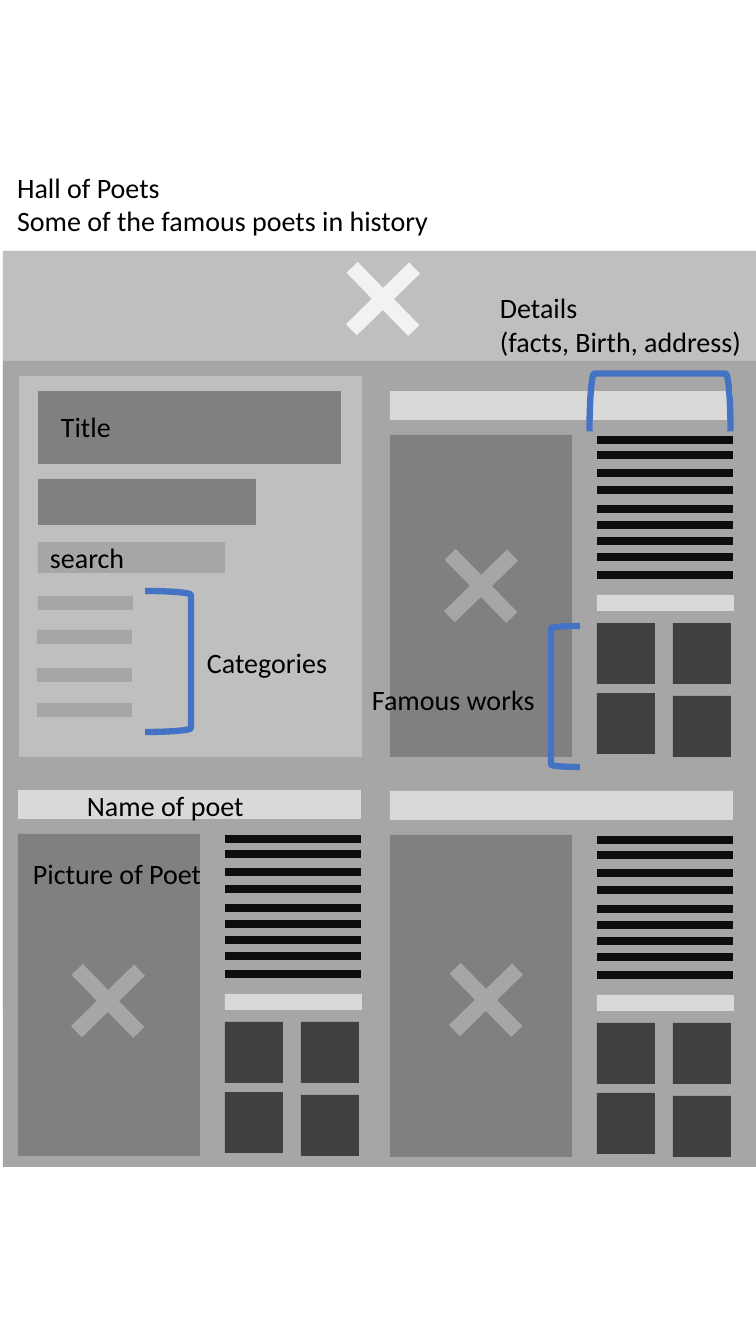
from dataclasses import dataclass

from lxml import etree
from pptx import Presentation
from pptx.dml.color import RGBColor
from pptx.enum import shapes, text
from pptx.oxml import ns
from pptx.util import Pt

HEADING = (7, 165, 435, 78, ["Hall of Poets", "Some of the famous poets in history"])
PANELS = [
    (3, 251, 759, 759, "light"),
    (3, 361, 759, 806, "mid"),
    (19, 376, 343, 381, "light"),
    (38, 391, 303, 73, "dark"),
    (38, 479, 218, 46, "dark"),
    (38, 542, 187, 31, "mid"),
]
CATEGORY_BARS = [(38, 596), (37, 630), (37, 668), (37, 703)]
CATEGORY_SIZE = (95, 14)
BANNER_CROSS = (323, 239)
CROSS_SIZE = 120
POET_CARDS = [
    {"at": (390, 391), "cross": (421, 526)},
    {"at": (18, 790), "cross": (48, 941)},
    {"at": (390, 791), "cross": (426, 940)},
]
CARD_PARTS = [
    (0, 44, 182, 322, "dark"),
    (0, 0, 343, 29, "pale"),
    (207, 204, 137, 16, "pale"),
    (207, 232, 58, 61, "tile"),
    (283, 232, 58, 61, "tile"),
    (207, 302, 58, 61, "tile"),
    (283, 305, 58, 61, "tile"),
]
DETAIL_SPAN = (207, 343)
DETAIL_LINES = [49, 64, 82, 99, 118, 134, 150, 166, 184]
LABELS = [
    (40, 536, 96, 44, ["search"]),
    (51, 405, 71, 44, ["Title"]),
    (23, 852, 191, 44, ["Picture of Poet"]),
    (77, 784, 178, 44, ["Name of poet"]),
    (490, 286, 264, 78, ["Details", "(facts, Birth, address)"]),
    (362, 678, 184, 44, ["Famous works"]),
    (197, 641, 142, 44, ["Categories"]),
]
BRACKETS = [
    (631, 332, 58, 141, "LEFT_BRACKET", 90),
    (551, 626, 29, 141, "LEFT_BRACKET", 0),
    (145, 591, 46, 141, "RIGHT_BRACKET", 0),
]


@dataclass
class Theme:
    light: str = "BFBFBF"
    mid: str = "A6A6A6"
    dark: str = "808080"
    pale: str = "D9D9D9"
    tile: str = "404040"
    banner_cross: str = "F2F2F2"
    detail: str = "0D0D0D"
    bracket: str = "4472C4"
    ink: str = "000000"
    font: str = "Calibri"
    size: int = 20
    detail_width: float = 6
    bracket_width: float = 4.5

    def color(self, name):
        return RGBColor.from_string(getattr(self, name))


theme = Theme()


def px(*lengths):
    return [round(length * 914400 / 100.8) for length in lengths]


presentation = Presentation()
presentation.slide_width, presentation.slide_height = px(756, 1344)
slide = presentation.slides.add_slide(presentation.slide_layouts[5])


def add_filled(kind, x, y, width, height, color):
    shape = slide.shapes.add_shape(kind, *px(x, y, width, height))
    shape.shadow.inherit = False
    shape.fill.solid()
    shape.fill.fore_color.rgb = theme.color(color)
    shape.line.fill.background()
    return shape


def add_panel(x, y, width, height, color):
    add_filled(shapes.MSO_SHAPE.RECTANGLE, x, y, width, height, color)


def add_cross(x, y, color):
    cross = add_filled(shapes.MSO_SHAPE.MATH_PLUS, x, y, CROSS_SIZE, CROSS_SIZE, color)
    cross.adjustments[0] = 0.13
    cross.rotation = 45.7


def add_detail_line(left, right, y):
    line = slide.shapes.add_connector(
        shapes.MSO_CONNECTOR.STRAIGHT, *px(left, y, right, y))
    line.line.color.rgb = theme.color("detail")
    line.line.width = Pt(theme.detail_width)
    etree.SubElement(line._element.spPr, ns.qn("a:effectLst"))


def add_poet_card(card):
    left, top = card["at"]
    for x, y, width, height, color in CARD_PARTS:
        add_panel(left + x, top + y, width, height, color)
    start, end = DETAIL_SPAN
    for y in DETAIL_LINES:
        add_detail_line(left + start, left + end, top + y)
    add_cross(*card["cross"], "mid")


def add_bracket(x, y, width, height, kind, rotation):
    bracket = slide.shapes.add_shape(
        getattr(shapes.MSO_SHAPE, kind), *px(x, y, width, height))
    bracket.shadow.inherit = False
    bracket.fill.background()
    bracket.line.color.rgb = theme.color("bracket")
    bracket.line.width = Pt(theme.bracket_width)
    bracket.rotation = rotation


def write_lines(shape, lines):
    frame = shape.text_frame
    frame.word_wrap = False
    frame.auto_size = text.MSO_AUTO_SIZE.NONE
    frame.vertical_anchor = text.MSO_ANCHOR.TOP
    for index, line in enumerate(lines):
        paragraph = frame.add_paragraph() if index else frame.paragraphs[0]
        paragraph.alignment = text.PP_ALIGN.LEFT
        run = paragraph.add_run()
        run.text = line
        run.font.name = theme.font
        run.font.size = Pt(theme.size)
        run.font.color.rgb = theme.color("ink")


for panel in PANELS:
    add_panel(*panel)
add_cross(*BANNER_CROSS, "banner_cross")
for x, y in CATEGORY_BARS:
    add_panel(x, y, *CATEGORY_SIZE, "mid")
for card in POET_CARDS:
    add_poet_card(card)
for bracket in BRACKETS:
    add_bracket(*bracket)

title = slide.shapes.title
title.left, title.top, title.width, title.height = px(*HEADING[:4])
write_lines(title, HEADING[4])
for x, y, width, height, lines in LABELS:
    write_lines(slide.shapes.add_textbox(*px(x, y, width, height)), lines)

presentation.save("out.pptx")
